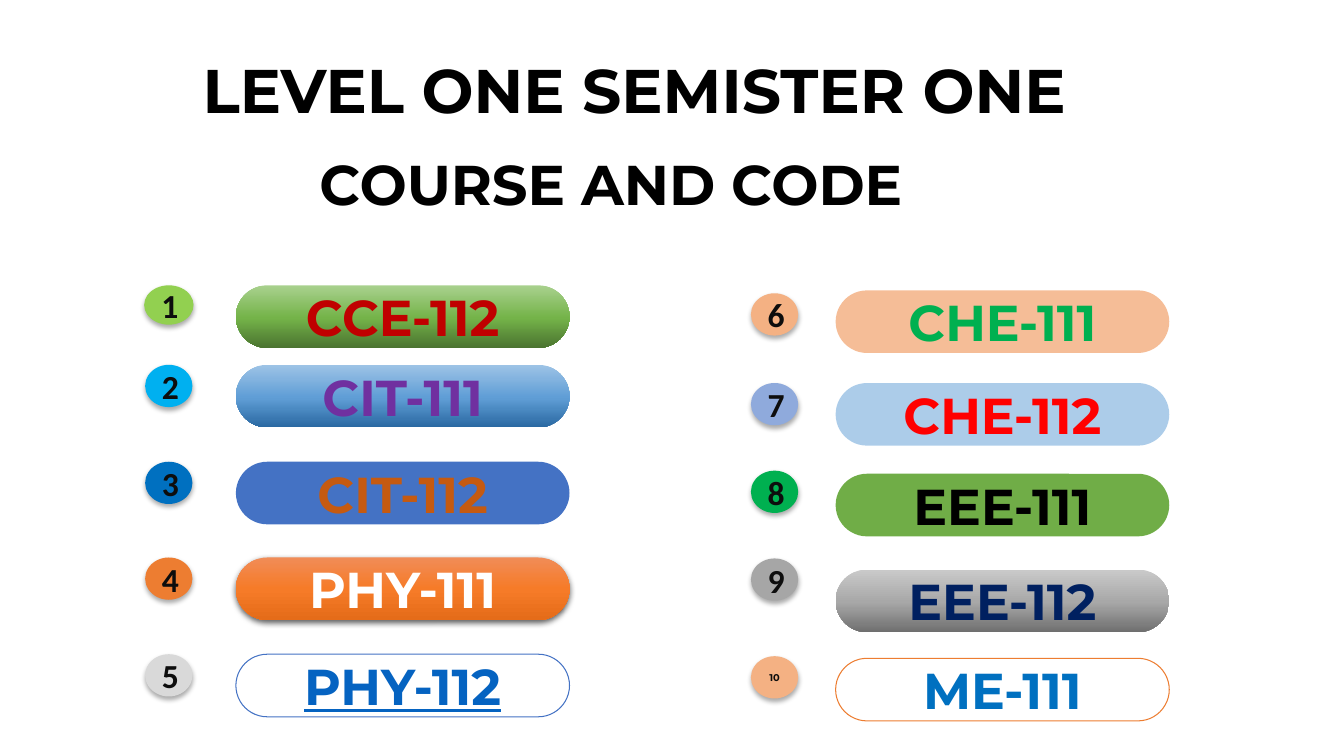
from dataclasses import dataclass

from lxml import etree
from pptx import Presentation
from pptx.dml.color import RGBColor
from pptx.enum.shapes import MSO_SHAPE
from pptx.enum.text import MSO_ANCHOR, MSO_AUTO_SIZE, PP_ALIGN
from pptx.oxml.ns import qn
from pptx.util import Pt

OVAL, PILL = MSO_SHAPE.OVAL, MSO_SHAPE.ROUNDED_RECTANGLE
TOP, MIDDLE = MSO_ANCHOR.TOP, MSO_ANCHOR.MIDDLE
LEFT, CENTER = PP_ALIGN.LEFT, PP_ALIGN.CENTER
NO_AUTOFIT = MSO_AUTO_SIZE.NONE


@dataclass(frozen=True)
class Theme:
    heading_font: str = "Montserrat"
    number_font: str = "Calibri"
    title_size: float = 44
    subtitle_size: float = 40
    code_size: float = 36
    number_size: float = 24
    small_number_size: float = 7
    ink: str = "000000"
    number_ink: str = "0D0D0D"
    white: str = "FFFFFF"
    green: str = "70AD47"
    blue: str = "4472C4"
    sky: str = "5B9BD5"
    orange: str = "ED7D31"
    peach: str = "F4B183"
    emerald: str = "00B050"
    ocean: str = "0070C0"
    green_fade: tuple = ("A9D18E", "74B349", "4B7430")
    blue_fade: tuple = ("9DC3E6", "609ED6", "2A69A2")
    orange_fade: tuple = ("F18C57", "F67B28", "E56C19")
    gray_fade: tuple = ("C9C9C9", "A8A8A8", "6F6F6F")


THEME = Theme()


@dataclass(frozen=True)
class Course:
    """One row: tops in points; fill is a colour, a top-to-bottom fade or None."""
    code: str
    ink: str
    badge_fill: str
    badge_top: float
    pill_top: float
    fill: object = None
    opacity: int = 100
    outline: str = ""
    middle: int = 52
    raised: bool = False
    underline: bool = False
    badge_size: tuple = (33.8, 30.2)


FIRST_COURSES = [
    Course("CCE-112", "C00000", "92D050", 203.8, 203.8, THEME.green_fade,
           badge_size=(35.3, 28.1)),
    Course("CIT-111", "7030A0", "00B0F0", 260.6, 260.6, THEME.blue_fade),
    Course("CIT-112", "C55A11", THEME.ocean, 329.8, 329.8, THEME.blue),
    Course("PHY-111", THEME.white, THEME.orange, 398.2, 398.2, THEME.orange_fade,
           middle=50, raised=True),
    Course("PHY-112", "0563C1", "D9D9D9", 467.3, 467.3, outline=THEME.blue,
           underline=True),
]
LAST_COURSES = [
    Course("CHE-111", THEME.emerald, THEME.peach, 209.5, 207.4, THEME.orange, opacity=50),
    Course("CHE-112", "FF0000", "8FAADC", 273.6, 273.6, THEME.sky, opacity=50),
    Course("EEE-111", THEME.ink, THEME.emerald, 336.2, 338.4, THEME.green),
    Course("EEE-112", "002060", "A6A6A6", 398.9, 406.8, THEME.gray_fade),
    Course("ME-111", THEME.ocean, THEME.peach, 468.7, 470.2, outline=THEME.orange),
]


def write(shape, text, *, size, color, font=THEME.heading_font, align=CENTER,
          anchor=MIDDLE, underline=None):
    frame = shape.text_frame
    frame.word_wrap = True
    frame.auto_size = NO_AUTOFIT
    frame.vertical_anchor = anchor
    line = frame.paragraphs[0]
    line.alignment = align
    line.space_before = Pt(0)
    run = line.add_run()
    run.text = text
    run.font.name = font
    run.font.size = Pt(size)
    run.font.bold = True
    run.font.underline = underline
    run.font.color.rgb = RGBColor.from_string(color)


def add_color(parent, color, opacity=100):
    node = etree.SubElement(parent, qn("a:srgbClr"), val=color)
    if opacity < 100:
        etree.SubElement(node, qn("a:alpha"), val=str(opacity * 1000))


def paint(shape, fill, *, opacity=100, middle=50, outline=""):
    shape.shadow.inherit = False
    properties = shape._element.spPr
    if fill is None:
        shape.fill.background()
    elif isinstance(fill, tuple):
        shape.fill.gradient()
        shape.fill.gradient_angle = 270
        stops = properties.find(qn("a:gradFill")).find(qn("a:gsLst"))
        stops.clear()
        for position, color in zip((0, middle, 100), fill):
            add_color(etree.SubElement(stops, qn("a:gs"), pos=str(position * 1000)), color)
    else:
        shape.fill.solid()
        shape.fill.fore_color.rgb = RGBColor.from_string(fill)
        if opacity < 100:
            solid = properties.find(qn("a:solidFill"))
            solid.clear()
            add_color(solid, fill, opacity)
    if outline:
        shape.line.color.rgb = RGBColor.from_string(outline)
        shape.line.width = Pt(0.75)
    else:
        shape.line.fill.background()


def cast_shadow(shape, *, opacity, blur, distance):
    effects = shape._element.spPr.find(qn("a:effectLst"))
    shadow = etree.SubElement(effects, qn("a:outerShdw"), blurRad=str(Pt(blur)),
                              dist=str(Pt(distance)), dir="5400000", rotWithShape="0")
    add_color(shadow, THEME.ink, opacity)


def add_heading(placeholder, text, box, size):
    placeholder.left, placeholder.top, placeholder.width, placeholder.height = map(Pt, box)
    write(placeholder, text, size=size, color=THEME.ink, align=LEFT, anchor=TOP)


def add_course_column(slide, courses, first_number, left, pill_left):
    """Place numbered badges at left and course pills at pill_left."""
    for number, course in enumerate(courses, first_number):
        width, height = course.badge_size
        badge = slide.shapes.add_shape(OVAL, Pt(left - (width - 33.8) / 2),
                                       Pt(course.badge_top), Pt(width), Pt(height))
        paint(badge, course.badge_fill)
        cast_shadow(badge, opacity=32, blur=3.5, distance=2.2)
        if number < 10:
            write(badge, str(number), size=THEME.number_size, color=THEME.number_ink,
                  font=THEME.number_font)
        else:
            write(badge, str(number), size=THEME.small_number_size, color=THEME.number_ink)

        pill = slide.shapes.add_shape(PILL, Pt(pill_left), Pt(course.pill_top),
                                      Pt(238.3), Pt(44.7))
        pill.adjustments[0] = 0.5
        paint(pill, course.fill, opacity=course.opacity, middle=course.middle,
              outline=course.outline)
        if course.raised:
            cast_shadow(pill, opacity=63, blur=4.5, distance=1.5)
        write(pill, course.code, size=THEME.code_size, color=course.ink,
              underline=course.underline or None)


def main():
    deck = Presentation()
    deck.slide_width, deck.slide_height = Pt(960), Pt(540)
    slide = deck.slides.add_slide(deck.slide_layouts[0])
    title, subtitle = slide.placeholders
    add_heading(title, "LEVEL ONE SEMISTER ONE", (137.5, 33.8, 684.7, 60.5),
                THEME.title_size)
    add_heading(subtitle, "COURSE AND CODE", (221, 103, 501.1, 55.4),
                THEME.subtitle_size)
    add_course_column(slide, FIRST_COURSES, 1, left=103.7, pill_left=168.5)
    add_course_column(slide, LAST_COURSES, 6, left=536.4, pill_left=596.9)
    deck.save("out.pptx")


if __name__ == "__main__":
    main()
